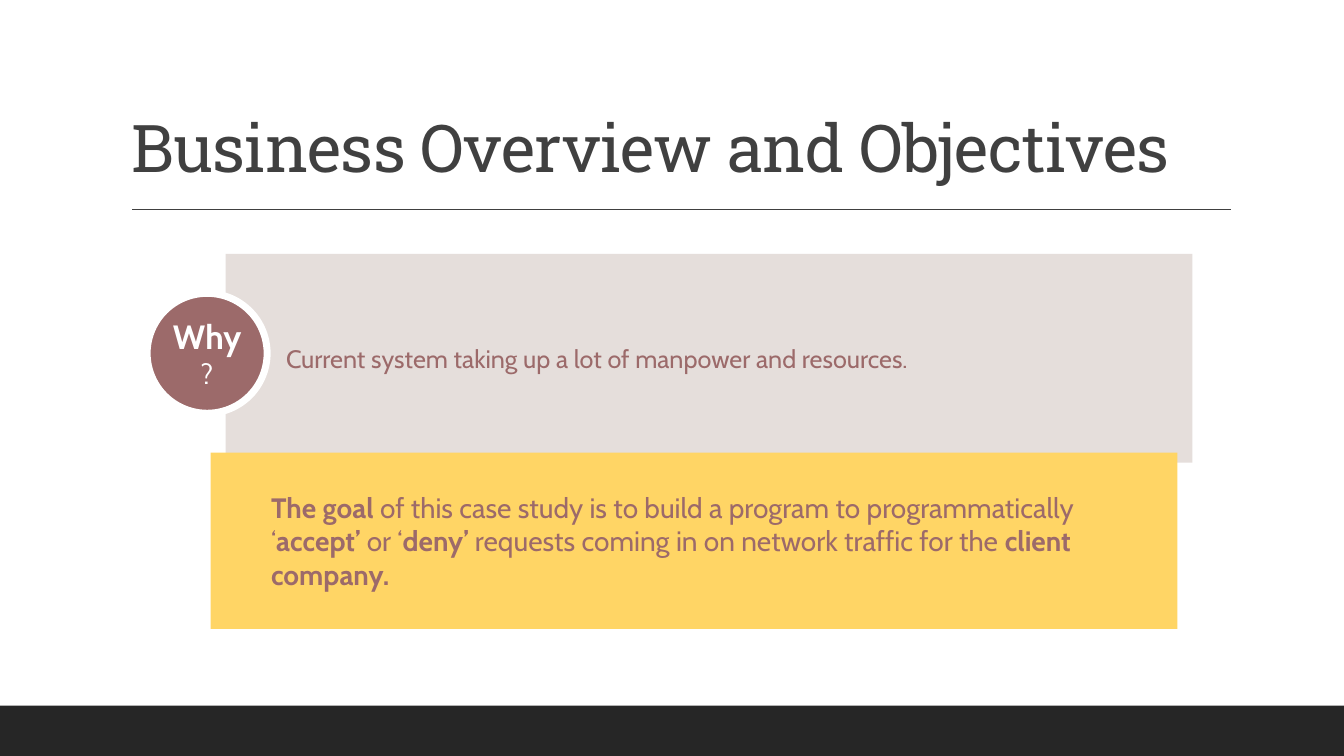
from lxml import etree
from pptx import Presentation
from pptx.dml.color import RGBColor
from pptx.enum.shapes import MSO_CONNECTOR as LINE, MSO_SHAPE as SHAPE
from pptx.enum.text import MSO_ANCHOR as ANCHOR, MSO_AUTO_SIZE as FIT, PP_ALIGN as ALIGN
from pptx.oxml.ns import qn
from pptx.util import Inches, Pt

COLORS = {
    "ink": "404040", "footer": "262626", "panel": "E5DEDB",
    "rose": "9C6A6A", "goal": "FFD565", "white": "FFFFFF",
}
HEAD, BODY = "Roboto Slab", "Cabin"


def color(name):
    return RGBColor.from_string(COLORS[name])


class Deck:
    """Style and current slide; positions are percentages of the slide size."""

    def __init__(self):
        self.prs = Presentation()
        self.prs.slide_width, self.prs.slide_height = Inches(13.333), Inches(7.5)
        self.slide = self.prs.slides.add_slide(self.prs.slide_layouts[5])

    def box(self, x, y, w=0, h=0):
        sw, sh = self.prs.slide_width, self.prs.slide_height
        return [round(v * side / 100) for v, side in zip((x, y, w, h), (sw, sh, sw, sh))]

    def add_text(self, tf, runs, font, frame, para):
        """Fill one paragraph with (text, size, bold) runs."""
        tf.word_wrap = True
        for key, value in frame.items():
            setattr(tf, key, value)
        p = tf.paragraphs[0]
        for key, value in para.items():
            setattr(p, key, value)
        name, fill = font
        for text, size, bold in runs:
            r = p.add_run()
            r.text = text
            for key, value in {"name": name, "size": Pt(size), "bold": bold}.items():
                setattr(r.font, key, value)
            r.font.color.rgb = color(fill)
        return p

    def title(self, text, area):
        sp = self.slide.shapes.title
        sp.left, sp.top, sp.width, sp.height = self.box(*area)
        p = self.add_text(sp.text_frame, [(text, 47, False)], (HEAD, "ink"),
                          {"vertical_anchor": ANCHOR.BOTTOM, "auto_size": FIT.NONE},
                          {"alignment": ALIGN.LEFT, "line_spacing": 0.9})
        p.runs[0]._r.get_or_add_rPr().set("spc", "-50")

    def rule(self, x1, x2, y):
        line = self.slide.shapes.add_connector(
            LINE.STRAIGHT, *self.box(x1, y)[:2], *self.box(x2, y)[:2])
        line.line.color.rgb = color("ink")
        line.line.width = Pt(1)
        etree.SubElement(line._element.spPr, qn("a:effectLst"))

    def shape(self, area, fill, kind=SHAPE.RECTANGLE):
        sp = self.slide.shapes.add_shape(kind, *self.box(*area))
        sp.shadow.inherit = False
        sp.fill.solid()
        sp.fill.fore_color.rgb = color(fill)
        sp.line.fill.background()
        return sp

    def panel(self, area, fill, runs):
        sp = self.shape(area, fill)
        p = self.add_text(sp.text_frame, runs, (BODY, "rose"),
                          {"vertical_anchor": ANCHOR.MIDDLE}, {"alignment": ALIGN.LEFT})
        pPr = p._p.get_or_add_pPr()
        pPr.set("marL", str(Inches(0.5)))
        pPr.set("indent", "0")

    def badge(self, area, runs):
        sp = self.shape(area, "rose", SHAPE.OVAL)
        sp.line.color.rgb = color("white")
        sp.line.width = Pt(5)
        sides = ("left", "top", "right", "bottom")
        frame = {f"margin_{side}": Inches(0.04) for side in sides}
        self.add_text(sp.text_frame, runs, (BODY, "white"),
                      {"vertical_anchor": ANCHOR.MIDDLE, **frame},
                      {"alignment": ALIGN.CENTER})


def main():
    deck = Deck()

    # Footer band, title and rule
    deck.shape((0, 93.33, 100, 6.67), "footer")
    deck.rule(9.83, 91.58, 27.75)
    deck.title("Business Overview and Objectives", (9, 4.13, 82.5, 21.2))

    # Reason with its badge
    deck.panel((16.8, 33.6, 71.93, 27.6), "panel",
               [("Current system taking up a lot of manpower and resources.", 18, False)])
    deck.badge((10.95, 38.8, 8.93, 15.87), [("Why", 24, True), ("?", 20, False)])

    # Goal: bold and regular runs alternate
    goal = ["The goal ",
            "of this case study is to build a program to programmatically ‘",
            "accept’", " or ‘", "deny’",
            " requests coming in on network traffic for the ", "client company."]
    deck.panel((15.68, 59.87, 71.93, 23.33), "goal",
               [(text, 20, i % 2 == 0) for i, text in enumerate(goal)])

    deck.prs.save("out.pptx")


if __name__ == "__main__":
    main()
